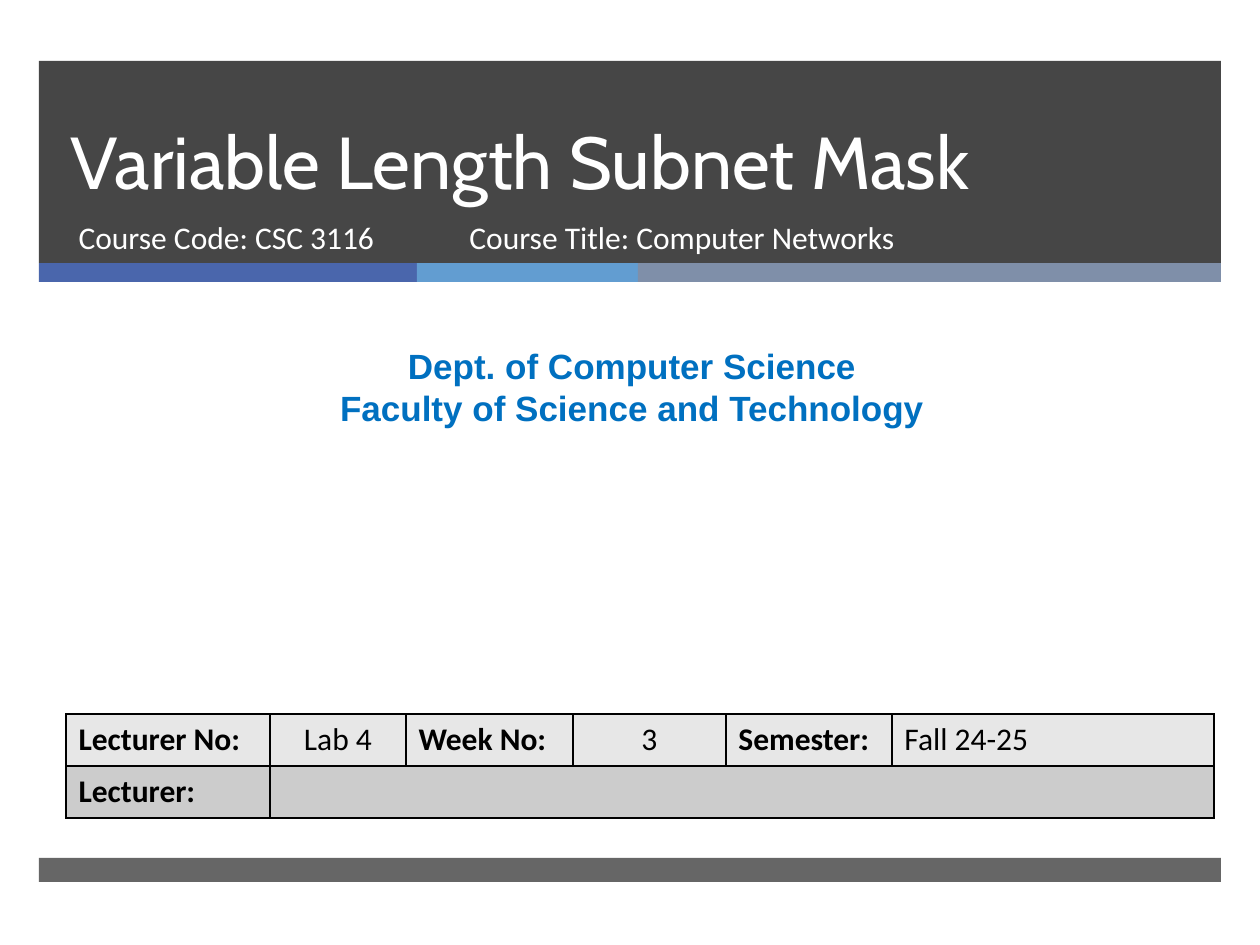
from dataclasses import dataclass

from lxml import etree
from pptx import Presentation
from pptx import util as u
from pptx.dml.color import RGBColor
from pptx.enum import shapes, text
from pptx.oxml.ns import qn

SCALE = 914400 / 126  # EMU in one px
LEFT, CENTER = text.PP_ALIGN.LEFT, text.PP_ALIGN.CENTER


@dataclass
class Bar:
    x: int
    y: int
    w: int
    h: int
    color: str
    alpha: int = 100


@dataclass
class Style:
    size: int
    name: str
    color: str
    bold: bool = False
    align: int = LEFT


def px(n: int) -> int:
    return round(n * SCALE)


def rgb(code: str) -> RGBColor:
    return RGBColor.from_string(code)


def place(shape, x: int, y: int, w: int, h: int) -> None:
    for key, val in dict(left=x, top=y, width=w, height=h).items():
        setattr(shape, key, px(val))


def draw_bar(slide, bar: Bar) -> None:
    shape = slide.shapes.add_shape(
        shapes.MSO_SHAPE.RECTANGLE, *map(px, (bar.x, bar.y, bar.w, bar.h)))
    shape.shadow.inherit = False
    shape.line.fill.background()
    shape.fill.solid()
    shape.fill.fore_color.rgb = rgb(bar.color)
    if bar.alpha < 100:
        clr = shape.element.spPr.find(".//" + qn("a:srgbClr"))
        etree.SubElement(clr, qn("a:alpha"), val=str(bar.alpha * 1000))


def write(frame, words: str, style: Style) -> None:
    frame.text = words
    for par in frame.paragraphs:
        par.alignment = style.align
        par.space_before = u.Pt(0)
        fmt = dict(size=u.Pt(style.size), name=style.name, bold=style.bold)
        for key, val in fmt.items():
            setattr(par.font, key, val)
        par.font.color.rgb = rgb(style.color)


def fit(frame, anchor) -> None:
    fmt = dict(word_wrap=True, auto_size=text.MSO_AUTO_SIZE.NONE,
               vertical_anchor=anchor)
    for key, val in fmt.items():
        setattr(frame, key, val)


def add_note(slide, box: tuple, words: str, style: Style) -> None:
    shape = slide.shapes.add_textbox(0, 0, 0, 0)
    place(shape, *box)
    fit(shape.text_frame, text.MSO_ANCHOR.TOP)
    write(shape.text_frame, words, style)


def edge(cell, color: str) -> None:
    props = cell._tc.get_or_add_tcPr()
    for i, side in enumerate(("lnL", "lnR", "lnT", "lnB")):
        line = etree.Element(qn("a:" + side), w=str(u.Pt(1)))
        fill = etree.SubElement(line, qn("a:solidFill"))
        etree.SubElement(fill, qn("a:srgbClr"), val=color)
        props.insert(i, line)


def add_grid(slide, x: int, y: int, cols: list, high: int,
             rows: list, fills: list) -> None:
    grid = slide.shapes.add_table(
        len(rows), len(cols), px(x), px(y),
        px(sum(cols)), px(high * len(rows))).table
    for col, wide in zip(grid.columns, cols):
        col.width = px(wide)
    for r, (row, fill) in enumerate(zip(rows, fills)):
        grid.rows[r].height = px(high)
        for c, words in enumerate(row):
            cell = grid.cell(r, c)
            cell.fill.solid()
            cell.fill.fore_color.rgb = rgb(fill)
            edge(cell, "000000")
            align = CENTER if c in (1, 3) else LEFT
            write(cell.text_frame, words,
                  Style(18, "Calibri", "000000", c % 2 == 0, align))
    grid.cell(1, 1).merge(grid.cell(1, len(cols) - 1))


BARS = [
    Bar(39, 61, 1182, 202, "262626", 85),
    Bar(39, 263, 378, 19, "4A66AC"),
    Bar(417, 263, 221, 19, "629DD1"),
    Bar(638, 263, 583, 19, "7F8FA9"),
    Bar(39, 858, 1182, 24, "262626", 70),
]
COURSE = Style(18, "Calibri", "FFFFFF")
DEPT = Style(20, "Arial", "0070C0", True, CENTER)
ROWS = [
    ["Lecturer No:", "Lab 4", "Week No:", "3", "Semester:", "Fall 24-25"],
    ["Lecturer:", "", "", "", "", ""],
]


def main() -> None:
    deck = Presentation()
    deck.slide_width, deck.slide_height = px(1260), px(945)
    slide = deck.slides.add_slide(deck.slide_layouts[0])

    # Header and footer bars
    for bar in BARS:
        draw_bar(slide, bar)

    # Title and course code, brought in front of the bars
    title, code = slide.placeholders
    for shape in (title, code):
        slide.shapes.element.append(shape.element)
    place(title, 58, 61, 1076, 150)
    fit(title.text_frame, text.MSO_ANCHOR.BOTTOM)
    write(title.text_frame, "Variable Length Subnet Mask",
          Style(42, "Cabin", "FFFFFF"))
    title.text_frame.paragraphs[0].line_spacing = u.Pt(46)
    place(code, 66, 212, 384, 67)
    fit(code.text_frame, text.MSO_ANCHOR.TOP)
    write(code.text_frame, "Course Code: CSC 3116", COURSE)

    # Department and course title
    add_note(slide, (10, 338, 1244, 97),
             "Dept. of Computer Science\nFaculty of Science and Technology",
             DEPT)
    add_note(slide, (457, 212, 573, 67),
             "Course Title: Computer Networks", COURSE)

    # Lecture details
    add_grid(slide, 66, 714, [204, 136, 167, 153, 166, 322], 52,
             ROWS, ["E7E7E7", "CCCCCC"])
    deck.save("out.pptx")


if __name__ == "__main__":
    main()
